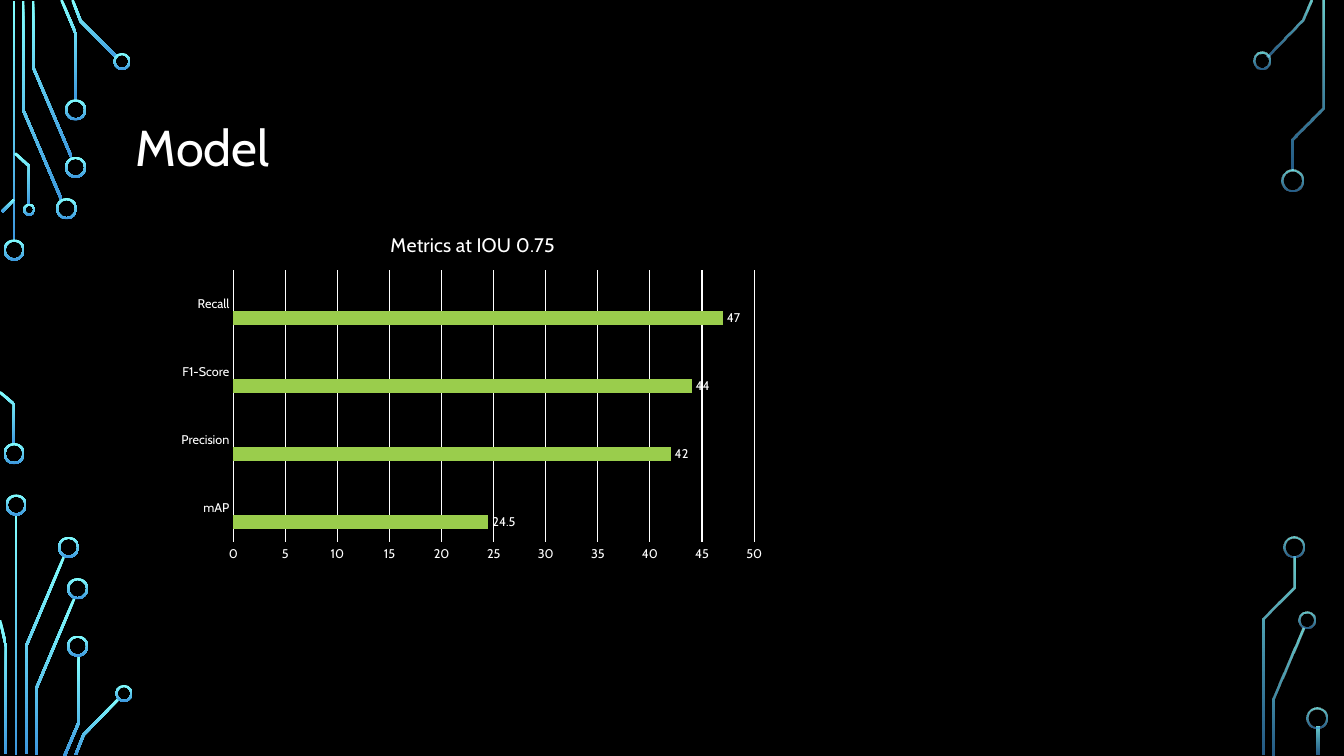
"""Build the slide with the model metrics chart between circuit traces."""
from lxml import etree
from pptx import Presentation
from pptx.chart.data import CategoryChartData
from pptx.dml.color import RGBColor
from pptx.enum.chart import XL_CHART_TYPE, XL_LABEL_POSITION, XL_TICK_MARK
from pptx.enum.shapes import MSO_SHAPE
from pptx.enum.text import MSO_ANCHOR
from pptx.oxml.ns import qn
from pptx.util import Inches, Pt

BAR = XL_CHART_TYPE.BAR_CLUSTERED
OUTER = XL_LABEL_POSITION.OUTSIDE_END
NO_TICK = XL_TICK_MARK.NONE
DONUT = MSO_SHAPE.DONUT
MIDDLE = MSO_ANCHOR.MIDDLE
FONT = "Cabin"
WHITE = "FFFFFF"
WIDTH = 0.025
RIM = 0.02
BRIGHT = (100, 100)
DIM = (80, 60)

LEFT_LINES = [
    [(0.14, 0.01), (0.14, 2.4)],
    [(0.61, 1.98), (0.23, 1.09), (0.23, 0.01)],
    [(0.71, 1.56), (0.33, 0.67), (0.33, 0.01)],
    [(0.75, 1), (0.75, 0.33), (0.61, 0)],
    [(1.16, 0.57), (0.8, 0.21), (0.72, 0)],
    [(0.02, 2.1), (0.14, 1.98)],
    [(0.14, 4.41), (0.14, 4.01), (0, 3.89)],
    [(0.29, 2.03), (0.29, 1.65), (0.15, 1.52)],
    [(0.16, 5.1), (0.16, 7.49)],
    [(0.26, 7.48), (0.26, 6.41), (0.64, 5.51)],
    [(0.06, 7.48), (0.06, 6.41), (0, 6.15)],
    [(0.36, 7.49), (0.36, 6.83), (0.74, 5.93)],
    [(0.64, 7.5), (0.78, 7.17), (0.78, 6.5)],
    [(0.75, 7.49), (0.83, 7.29), (1.18, 6.93)],
]
RIGHT_LINES = [
    [(12.57, 0.56), (12.92, 0.2), (13.01, 0)],
    [(12.63, 7.49), (12.63, 6.93), (12.93, 6.23)],
    [(12.82, 1.69), (12.82, 1.38), (13.12, 1.07), (13.12, 0.01)],
    [(12.53, 7.49), (12.53, 6.14), (12.84, 5.83), (12.84, 5.52)],
    [(13.07, 7.21), (13.07, 7.49)],
]
LEFT_RINGS = [
    (0.14, 2.48, 0.21), (0.14, 4.5, 0.21), (0.66, 2.07, 0.21),
    (0.75, 1.66, 0.21), (0.75, 1.09, 0.21), (0.16, 5.01, 0.21),
    (0.68, 5.43, 0.21), (0.77, 5.84, 0.21), (0.77, 6.41, 0.21),
    (1.21, 0.61, 0.17), (0.29, 2.08, 0.12), (1.23, 6.88, 0.17),
]
RIGHT_RINGS = [
    (12.52, 0.6, 0.17), (12.82, 1.79, 0.21), (12.96, 6.15, 0.17),
    (12.83, 5.43, 0.21), (13.06, 7.12, 0.21),
]


def color(code):
    """Turn a hex string into a colour."""
    return RGBColor.from_string(code)


def style(font, size):
    """Set the white slide font at a size."""
    font.name, font.size, font.bold = FONT, Pt(size), False
    font.color.rgb = color(WHITE)


def write(frame, text, size, spacing=None):
    """Put one line of styled text in a frame."""
    par = frame.paragraphs[0]
    par.line_spacing = spacing
    run = par.add_run()
    run.text = text
    style(run.font, size)


def glow(shape, alphas):
    """Fill a shape with the downward blue gradient."""
    shape.shadow.inherit = False
    shape.line.fill.background()
    shape.fill.gradient()
    shape.fill.gradient_angle = 270
    for stop, code in zip(shape.fill.gradient_stops, ("82FFFF", "3D97DE")):
        stop.color.rgb = color(code)
    tints = shape.element.spPr.iter(qn("a:srgbClr"))
    for tint, alpha in zip(list(tints), alphas):
        if alpha < 100:
            etree.SubElement(tint, qn("a:alpha")).set("val", str(alpha * 1000))


def add_trace(slide, points, alphas):
    """Draw a ribbon of even width along a bent line."""
    mids = [complex(*point) for point in points]
    ways = [(b - a) / abs(b - a) for a, b in zip(mids, mids[1:])]
    sides = [1j * (u + v) / (1 + (u * v.conjugate()).real) * WIDTH / 2
             for u, v in zip(ways[:1] + ways, ways + ways[-1:])]
    edge = [m + s for m, s in zip(mids, sides)]
    edge += [m - s for m, s in zip(mids, sides)][::-1]
    spots = [(Inches(z.real), Inches(z.imag)) for z in edge]
    path = slide.shapes.build_freeform(*spots[0])
    path.add_line_segments(spots[1:], close=True)
    glow(path.convert_to_shape(), alphas)


def add_ring(slide, x, y, size, alphas):
    """Draw a ring around a centre."""
    ring = slide.shapes.add_shape(
        DONUT, Inches(x - size / 2), Inches(y - size / 2),
        Inches(size), Inches(size))
    ring.adjustments[0] = RIM / size
    glow(ring, alphas)


def add_title(slide, text):
    """Add the slide title."""
    box = slide.shapes.add_textbox(
        Inches(1.25), Inches(0.68), Inches(10.83), Inches(1.62))
    box.text_frame.word_wrap = True
    box.text_frame.vertical_anchor = MIDDLE
    write(box.text_frame, text, 36, spacing=0.9)


def place_plot(chart, **parts):
    """Fix the inner plot area as fractions of the chart."""
    area = chart.element.find(".//" + qn("c:plotArea"))
    old = area.find(qn("c:layout"))
    if old is not None:
        area.remove(old)
    outer = etree.Element(qn("c:layout"))
    area.insert(0, outer)
    layout = etree.SubElement(outer, qn("c:manualLayout"))
    marks = {"layoutTarget": "inner", "xMode": "edge", "yMode": "edge"}
    for name, value in {**marks, **parts}.items():
        etree.SubElement(layout, qn("c:" + name)).set("val", str(value))


def set_axis(axis):
    """Give an axis its text and hide its ticks."""
    axis.major_tick_mark = axis.minor_tick_mark = NO_TICK
    style(axis.tick_labels.font, 9)


def rule(line):
    """Make a line thin and white."""
    line.color.rgb = color(WHITE)
    line.width = Pt(0.75)


def add_bars(slide):
    """Add the chart of metrics."""
    data = CategoryChartData()
    data.categories = ["mAP", "Precision", "F1-Score", "Recall"]
    data.add_series("Series 1", [24.5, 42, 44, 47])
    for name in ("Series 2", "Series 3"):
        data.add_series(name, [None] * 4)
    chart = slide.shapes.add_chart(
        BAR, Inches(1.69), Inches(2.14), Inches(6), Inches(3.5), data).chart
    style(chart.font, 10)
    chart.has_legend = False
    write(chart.chart_title.text_frame, "Metrics at IOU 0.75", 14)
    place_plot(chart, x=0.104, y=0.154, w=0.861, h=0.771)
    cats, vals = chart.category_axis, chart.value_axis
    set_axis(cats)
    set_axis(vals)
    rule(cats.format.line)
    rule(vals.major_gridlines.format.line)
    vals.format.line.fill.background()
    vals.minimum_scale, vals.maximum_scale, vals.major_unit = 0, 50, 5
    plot = chart.plots[0]
    plot.gap_width, plot.overlap, plot.vary_by_categories = 182, 0, False
    for series, code in zip(plot.series, ("9ACD4C", "FAA93A", "D35940")):
        series.format.fill.solid()
        series.format.fill.fore_color.rgb = color(code)
        labels = series.data_labels
        labels.show_value, labels.position = True, OUTER
        style(labels.font, 9)


def main():
    """Build and save the slide."""
    deck = Presentation()
    deck.slide_width, deck.slide_height = Inches(13.33), Inches(7.5)
    slide = deck.slides.add_slide(deck.slide_layouts[6])
    slide.background.fill.solid()
    slide.background.fill.fore_color.rgb = color("000000")
    for lines, rings, alphas in ((LEFT_LINES, LEFT_RINGS, BRIGHT),
                                 (RIGHT_LINES, RIGHT_RINGS, DIM)):
        for points in lines:
            add_trace(slide, points, alphas)
        for ring in rings:
            add_ring(slide, *ring, alphas)
    add_title(slide, "Model")
    add_bars(slide)
    deck.save("out.pptx")


if __name__ == "__main__":
    main()
